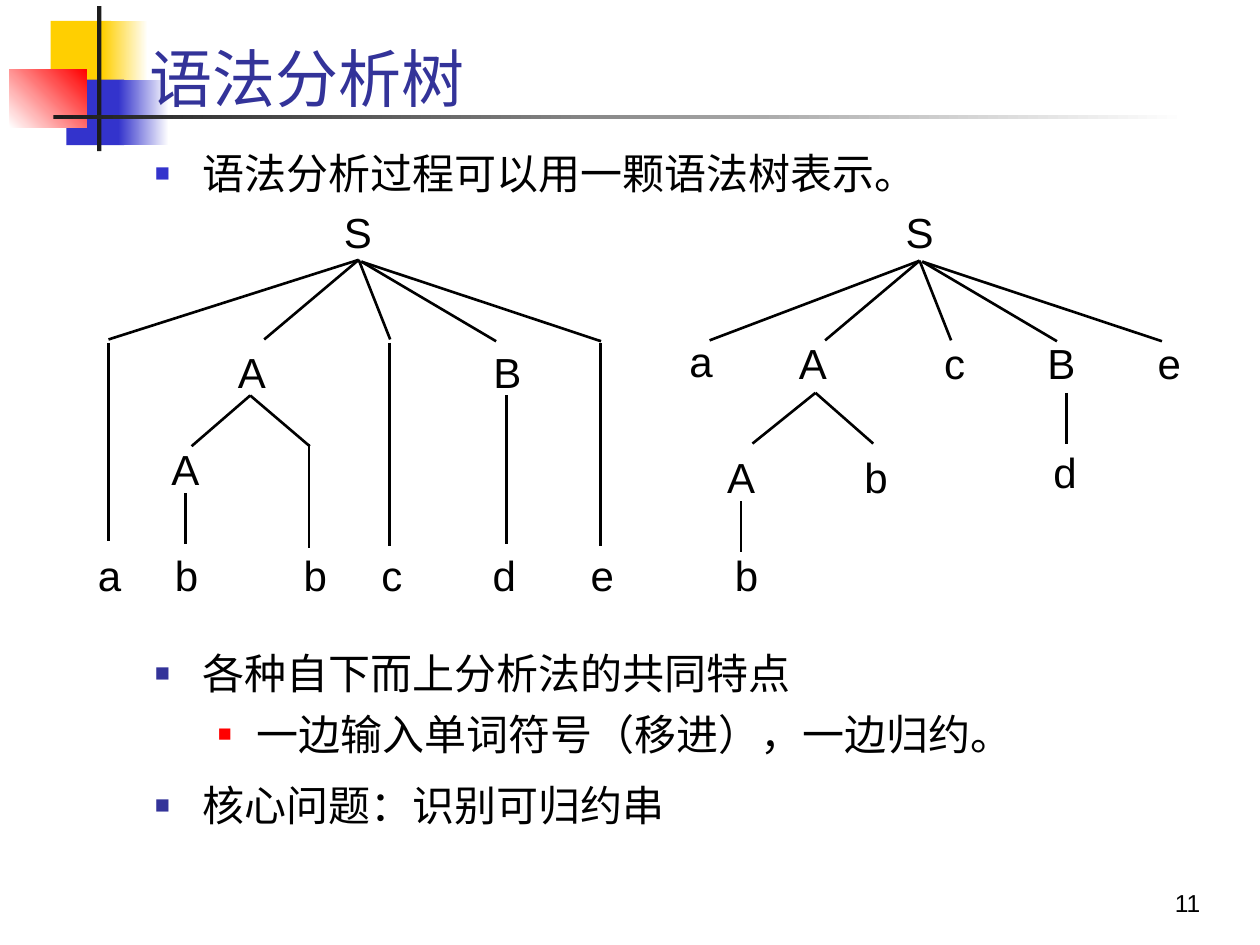
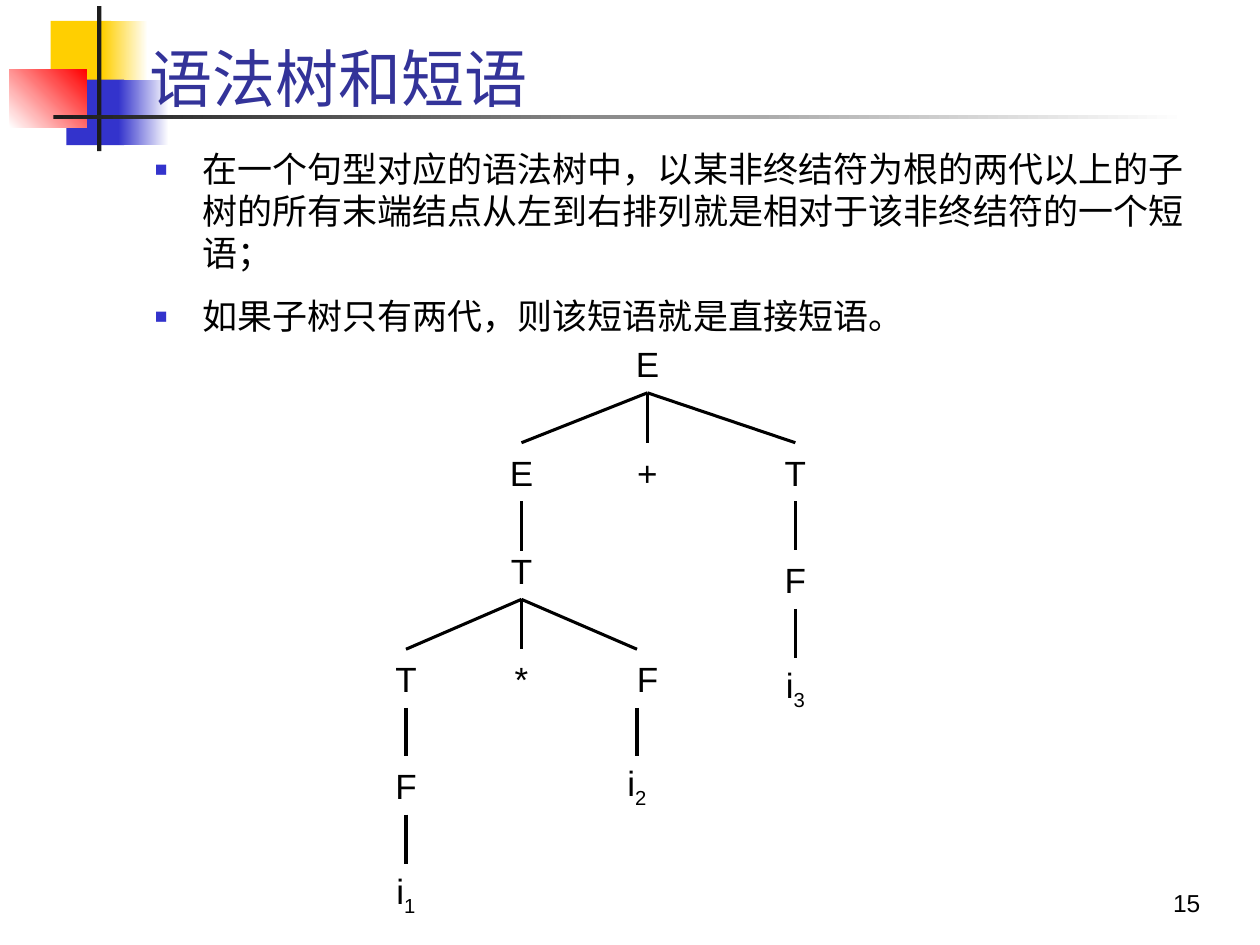
from lxml import etree
from pptx import Presentation
from pptx.dml.color import RGBColor as RGB
from pptx.enum.shapes import MSO_CONNECTOR as LINK, MSO_SHAPE as SHAPE
from pptx.enum.text import MSO_ANCHOR as ANCHOR, PP_ALIGN as ALIGN
from pptx.oxml.ns import qn
from pptx.util import Pt

COLORS = {"black": "000000", "white": "FFFFFF", "title": "333399", "blue": "3333CC",
          "yellow": "FFCF01", "red": "FF0000", "dark": "1C1C1C"}
LATIN, CJK = "Arial", "Noto Sans CJK SC"

# Shared ornament: left, top, width, height, colour, end colour, gradient angle
ORNAMENT = [
    (29, 12, 34.5, 37.5, "yellow", None, 0),
    (58.5, 12, 26, 37.5, "yellow", "white", 0),
    (38, 45.5, 33, 37.5, "blue", None, 0),
    (67.5, 45.5, 29, 37.5, "blue", "white", 0),
    (5.5, 39.5, 44, 33.5, "white", "red", 45),
    (55.5, 3.5, 2.5, 83, "dark", None, 0),
    (30.5, 65.5, 648, 2.5, "dark", "white", 0),
]

# Bullet levels: left margin, hanging indent, space before, bullet size in percent
LEVELS = [(27, 27, 12, 60), (58, 22, 6, 55)]


def add_text(slide, box, lines, size, color="black", inset=(7.2, 3.6, 7.2, 3.6),
             anchor=ANCHOR.TOP, align=ALIGN.LEFT, pitch=None):
    """Text box; each line is a list of (text, baseline shift) runs."""
    s = slide.shapes.add_textbox(*map(Pt, box))
    tf = s.text_frame
    frame = {"word_wrap": True, "vertical_anchor": anchor}
    frame.update(zip(("margin_left", "margin_top", "margin_right", "margin_bottom"),
                     map(Pt, inset)))
    for name, value in frame.items():
        setattr(tf, name, value)
    for i, runs in enumerate(lines):
        p = tf.add_paragraph() if i else tf.paragraphs[0]
        p.alignment = align
        if pitch:
            p.line_spacing = Pt(size * pitch)
        for text, shift in runs:
            r = p.add_run()
            r.text = text
            for name, value in {"name": LATIN, "size": Pt(size)}.items():
                setattr(r.font, name, value)
            r.font.color.rgb = RGB.from_string(COLORS[color])
            rPr = r.font._element
            etree.SubElement(rPr, qn("a:ea"), typeface=CJK)
            if shift:
                rPr.set("baseline", str(shift))
    return s


def add_line(slide, start, end, width, sites):
    """Straight line, joined to any box whose side midpoint it touches."""
    c = slide.shapes.add_connector(LINK.STRAIGHT, *map(Pt, start + end))
    c.line.width = Pt(width)
    c.line.color.rgb = RGB.from_string(COLORS["black"])
    etree.SubElement(c._element.spPr, qn("a:effectLst"))
    if start in sites:
        c.begin_connect(*sites[start])
    if end in sites:
        c.end_connect(*sites[end])


prs = Presentation()
prs.slide_width, prs.slide_height = Pt(720), Pt(540)

# Slide contents: title, number, body size, bullet groups (top, [(level, colour, text)])
PAGES = [
    ("语法分析树", "11", 24, [
        (81, [(0, "blue", "语法分析过程可以用一颗语法树表示。")]),
        (366.5, [(0, "title", "各种自下而上分析法的共同特点"),
                 (1, "red", "一边输入单词符号（移进），一边归约。"),
                 (0, "title", "核心问题：识别可归约串")])]),
    ("语法树和短语", "15", 20, [
        (81, [(0, "blue", "在一个句型对应的语法树中，以某非终结符为根的两代以上的子树的所有末端结点"
                          "从左到右排列就是相对于该非终结符的一个短语；"),
              (0, "blue", "如果子树只有两代，则该短语就是直接短语。")])]),
]

slides = []
for title, number, size, groups in PAGES:
    slide = prs.slides.add_slide(prs.slide_layouts[6])
    slides.append(slide)

    # Ornament
    for x, y, w, h, color, fade, angle in ORNAMENT:
        s = slide.shapes.add_shape(SHAPE.RECTANGLE, *map(Pt, (x, y, w, h)))
        s.shadow.inherit = False
        s.line.fill.background()
        if fade:
            s.fill.gradient()
            s.fill.gradient_angle = angle
            for stop, name in zip(s.fill.gradient_stops, (color, fade)):
                stop.color.rgb = RGB.from_string(COLORS[name])
        else:
            s.fill.solid()
            s.fill.fore_color.rgb = RGB.from_string(COLORS[color])

    # Title and slide number
    add_text(slide, (78.5, 16.5, 624, 49), [[(title, 0)]], 36, "title",
             inset=(7.2, 0, 7.2, 0), anchor=ANCHOR.BOTTOM, pitch=1.2)
    add_text(slide, (543, 492, 150, 36), [[(number, 0)]], 14,
             anchor=ANCHOR.BOTTOM, align=ALIGN.RIGHT)

    # Bulleted text
    for top, items in groups:
        height = 10 + len(items) * size * 1.7
        s = add_text(slide, (81.5, top, 615, height),
                     [[(text, 0)] for level, color, text in items], size, pitch=1.2)
        for i, (p, (level, color, text)) in enumerate(zip(s.text_frame.paragraphs, items)):
            margin, hang, before, percent = LEVELS[level]
            p.level = level
            p.space_before = Pt(before if i else 0)
            pPr = p._p.get_or_add_pPr()
            pPr.set("marL", str(Pt(margin)))
            pPr.set("indent", str(-Pt(hang)))
            tint = etree.SubElement(pPr, qn("a:buClr"))
            etree.SubElement(tint, qn("a:srgbClr"), val=COLORS[color])
            etree.SubElement(pPr, qn("a:buSzPct"), val=str(percent * 1000))
            etree.SubElement(pPr, qn("a:buFont"), typeface=LATIN)
            etree.SubElement(pPr, qn("a:buChar"), char="■")

parse_slide, phrase_slide = slides

# Parse trees: symbols (text, left, top)
SYMBOLS = [
    ("S", 196.5, 118), ("A", 136, 198), ("B", 282, 198), ("A", 98, 253.5),
    ("S", 517.5, 118), ("a", 394, 191.5), ("A", 456.5, 193), ("c", 539.5, 193),
    ("B", 598.5, 193), ("e", 661.5, 193), ("A", 415.5, 258), ("b", 494, 258),
    ("d", 602, 255), ("b", 420, 314),
]
LEAVES = zip("abbcde", (56, 100, 173.5, 218, 281.5, 337.5))
SYMBOLS += [(leaf, x, 314) for leaf, x in LEAVES]
for text, x, y in SYMBOLS:
    add_text(parse_slide, (x, y, 16 if text.isupper() else 13.5, 29), [[(text, 0)]], 24,
             inset=(0, 0, 0, 0))

# Parse trees: branches from an apex to its ends
FANS = [
    ((205, 148.5), [(62, 194), (151, 194), (223, 194)]),
    ((206.5, 149.5), [(283.5, 195), (343.5, 195)]),
    ((143, 226), [(109.5, 255), (177, 255)]),
    ((525.5, 149), [(405.5, 194.5), (471.5, 194.5), (543.5, 194.5)]),
    ((527, 149.5), [(604, 195), (664, 195)]),
    ((466, 224.5), [(430, 253.5), (499, 253.5)]),
]
# Parse trees: upright stems (x, top, bottom)
STEMS = [
    (62, 196, 309), (222.5, 196, 312), (343, 196, 312), (289.5, 226, 311),
    (106, 282, 311), (176.5, 253.5, 313), (609.5, 224.5, 253.5), (423.5, 286.5, 315.5),
]
FANS += [((x, top), [(x, bottom)]) for x, top, bottom in STEMS]
for apex, ends in FANS:
    for end in ends:
        add_line(parse_slide, apex, end, 1.5, {})

# Phrase tree: nodes (text, subscript, centre, top)
NODE_W, NODE_H = 48, 33.5
NODES = [
    ("E", "", 370, 191), ("E", "", 298, 253), ("+", "", 370, 253), ("T", "", 454.5, 253),
    ("T", "", 298, 309), ("F", "", 454.5, 314.5), ("T", "", 232, 371), ("*", "", 298, 371),
    ("F", "", 370, 371), ("i", "3", 454.5, 376), ("F", "", 232, 432), ("i", "2", 364, 432),
    ("i", "1", 232, 494),
]
sites = {}
for text, sub, x, y in NODES:
    runs = [(text, 0)] + ([(sub, -25000)] if sub else [])
    s = add_text(phrase_slide, (x - NODE_W / 2, y, NODE_W, NODE_H), [runs], 20,
                 anchor=ANCHOR.MIDDLE, align=ALIGN.CENTER)
    sites[(x, y)] = (s, 0)
    sites[(x, y + NODE_H)] = (s, 2)

# Phrase tree: branches
EDGES = [
    ((370, 224.5), [(298, 253), (370, 253), (454.5, 253)]),
    ((298, 286.5), [(298, 315)]),
    ((298, 342.5), [(232, 371), (298, 371), (364, 371)]),
    ((454.5, 286.5), [(454.5, 314.5)]),
    ((454.5, 348), [(454.5, 376)]),
    ((232, 404.5), [(232, 432)]),
    ((364, 404.5), [(364, 432)]),
    ((232, 465.5), [(232, 494)]),
]
for start, ends in EDGES:
    for end in ends:
        add_line(phrase_slide, start, end, 1.75, sites)

prs.save("out.pptx")
